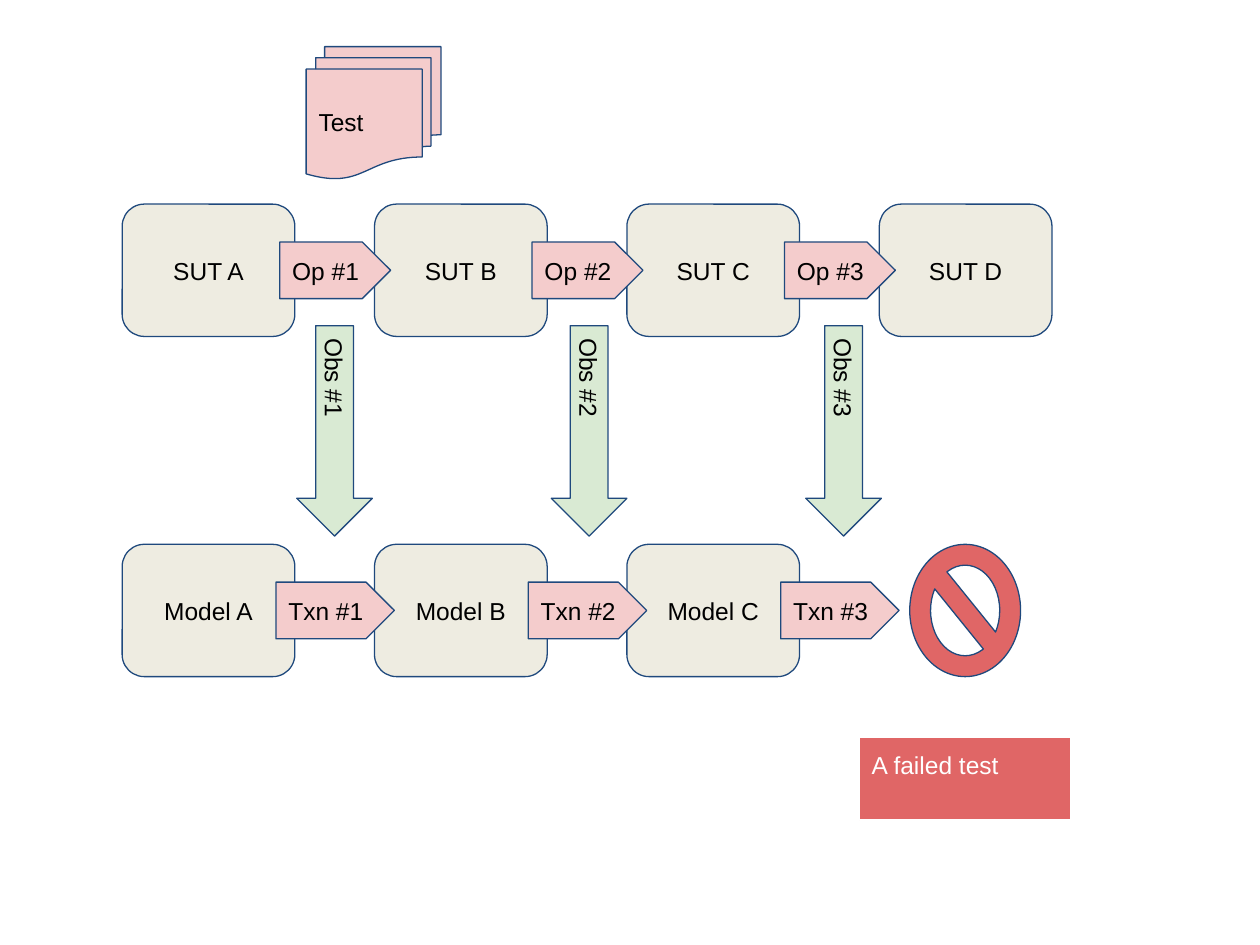
import pptx
import pptx.dml.color
import pptx.enum.shapes
import pptx.enum.text
import pptx.util

Inches = pptx.util.Inches
Shapes = pptx.enum.shapes.MSO_SHAPE
Align = pptx.enum.text.PP_ALIGN
Anchor = pptx.enum.text.MSO_ANCHOR

STONE, PINK, GREEN, RED = "EEECE1", "F4CCCC", "D9EAD3", "E06666"
NAVY, BLACK, WHITE = "1F497D", "000000", "FFFFFF"
PITCH = 2.003
FRAME_FORMAT = {
    "word_wrap": True,
    "margin_left": Inches(0.1),
    "margin_right": Inches(0.1),
    "margin_top": Inches(0.1),
    "margin_bottom": Inches(0.1),
}
FONT_FORMAT = {"name": "Arial", "size": pptx.util.Pt(14)}


def colour(hex_value):
    """Turn a hex string into a colour."""
    return pptx.dml.color.RGBColor.from_string(hex_value)


def apply_format(target, values):
    """Set each named attribute on the target."""
    for name, value in values.items():
        setattr(target, name, value)


def add_figure(page, kind, box, fill, text="", adjustments=(), line=NAVY,
               ink=BLACK, align=Align.LEFT, anchor=Anchor.MIDDLE):
    """Place one filled, outlined and optionally labelled shape in the box."""
    figure = page.shapes.add_shape(kind, *(Inches(length) for length in box))
    figure.shadow.inherit = False
    figure.fill.solid()
    figure.fill.fore_color.rgb = colour(fill)
    figure.line.color.rgb = colour(line)
    figure.line.width = pptx.util.Pt(0.75)
    for index, value in enumerate(adjustments):
        figure.adjustments[index] = value
    if text:
        frame = figure.text_frame
        apply_format(frame, FRAME_FORMAT)
        frame.vertical_anchor = anchor
        para = frame.paragraphs[0]
        para.alignment = align
        span = para.add_run()
        span.text = text
        apply_format(span.font, FONT_FORMAT)
        span.font.color.rgb = colour(ink)
    return figure


def add_states(page, box, labels):
    """Place a row of rounded states, the first one in the box."""
    left, top, width, height = box
    for index, label in enumerate(labels):
        add_figure(page, Shapes.ROUNDED_RECTANGLE,
                   (left + index * PITCH, top, width, height), STONE, label,
                   align=Align.CENTER)


def add_steps(page, box, name):
    """Place three numbered pentagons, the first one in the box."""
    left, top, width, height = box
    for index in range(3):
        add_figure(page, Shapes.PENTAGON,
                   (left + index * PITCH, top, width, height), PINK,
                   f"{name} #{index + 1}", (0.5,))


def add_observations(page, box, pitch):
    """Place three downward arrows, each a right arrow turned a quarter."""
    left, top, width, height = box
    for index in range(3):
        arrow = add_figure(page, Shapes.RIGHT_ARROW,
                           (left + index * pitch, top, width, height), GREEN,
                           f"Obs #{index + 1}", (0.5, 0.5))
        arrow.rotation = 90


def add_verdict(page, sign_box, label_box):
    """Place the stop sign and the label that explains it."""
    add_figure(page, Shapes.NO_SYMBOL, sign_box, RED, adjustments=(0.188,))
    add_figure(page, Shapes.RECTANGLE, label_box, RED, "A failed test",
               line=WHITE, ink=WHITE, anchor=Anchor.TOP)


def main():
    """Build the diagram of a failed test."""
    deck = pptx.Presentation()
    deck.slide_width, deck.slide_height = Inches(10), Inches(7.5)
    page = deck.slides.add_slide(deck.slide_layouts[6])
    add_figure(page, Shapes.FLOWCHART_MULTIDOCUMENT,
               (2.43, 0.37, 1.07, 1.05), PINK, "Test")
    add_states(page, (0.97, 1.62, 1.37, 1.05),
               [f"SUT {letter}" for letter in "ABCD"])
    add_steps(page, (2.22, 1.92, 0.88, 0.45), "Op")
    add_states(page, (0.97, 4.32, 1.37, 1.05),
               [f"Model {letter}" for letter in "ABC"])
    add_observations(page, (1.82, 3.12, 1.67, 0.6), 2.02)
    add_steps(page, (2.19, 4.62, 0.94, 0.45), "Txn")
    add_verdict(page, (7.22, 4.32, 0.88, 1.05), (6.82, 5.85, 1.68, 0.66))
    deck.save("out.pptx")


if __name__ == "__main__":
    main()
